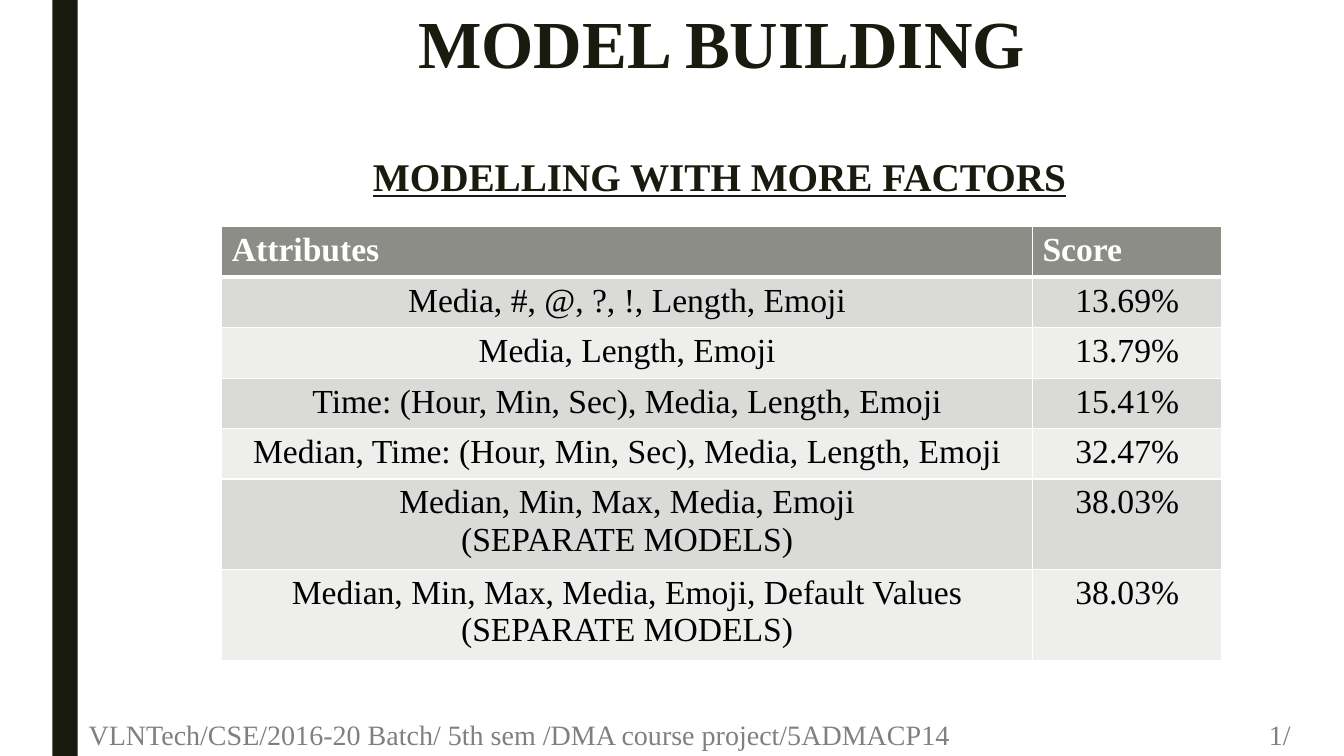
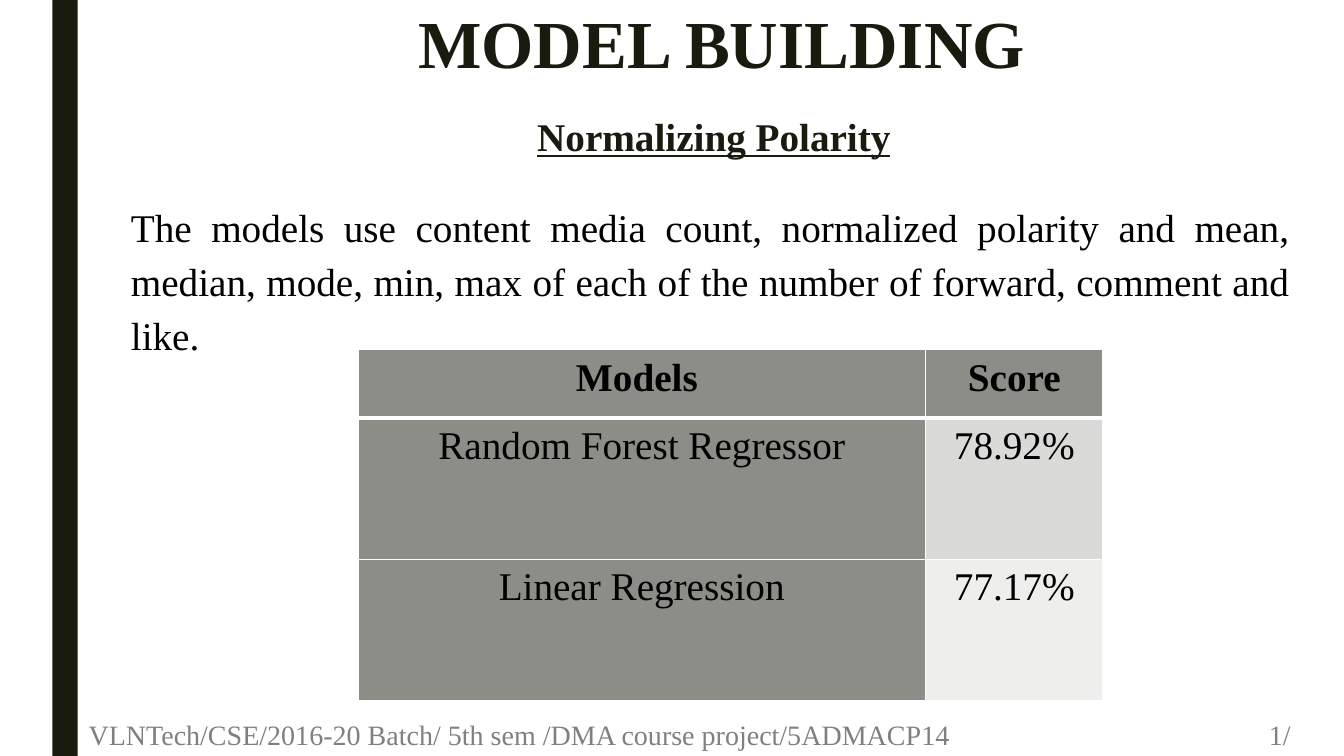
from dataclasses import dataclass

from lxml import etree
from pptx import Presentation
from pptx.dml.color import RGBColor
from pptx.enum import shapes, text
from pptx.oxml.ns import qn
from pptx.util import Inches, Pt

# Shared look
FONT = "Times New Roman"
DARK, WHITE, BLACK, GREY = "191B0E", "FFFFFF", "000000", "808080"
HEAD, BANDS = "8C8D86", ("DADBD9", "EEEEED")
LEFT, MID = text.PP_ALIGN.LEFT, text.PP_ALIGN.CENTER
RIGHT, FULL = text.PP_ALIGN.RIGHT, text.PP_ALIGN.JUSTIFY
TOP, BASE = text.MSO_ANCHOR.TOP, text.MSO_ANCHOR.BOTTOM
TIGHT, LOOSE = 0.89, 1.15


@dataclass(frozen=True)
class Box:
    left: float
    top: float
    width: float
    height: float

    def lengths(self) -> list:
        return [Inches(v) for v in (self.left, self.top, self.width, self.height)]


@dataclass(frozen=True)
class Style:
    size: float
    color: str = BLACK
    bold: bool = False
    under: bool = False
    align: int = MID
    space: float = 1.0
    after: float = 0


@dataclass(frozen=True)
class Grid:
    """A two-column score table."""
    left: float
    top: float
    cols: tuple
    heights: tuple
    rows: tuple
    head: Style
    body: Style
    inset: tuple = (0.1, 0.05)
    dark_first: bool = False


MAIN = Style(48, DARK, bold=True, space=TIGHT)
TITLE = Style(28, DARK, bold=True, under=True, space=TIGHT)
PROSE = Style(28, align=FULL, space=LOOSE, after=10)
FOOT = Style(20, GREY, align=LEFT, space=TIGHT)
PAGE = Style(20, GREY, align=RIGHT, space=TIGHT)


def rgb(code: str) -> RGBColor:
    return RGBColor.from_string(code)


def write(frame, words: str, style: Style) -> None:
    frame.text = words
    for para in frame.paragraphs:
        para.alignment = style.align
        para.line_spacing = style.space
        para.space_before, para.space_after = Pt(0), Pt(style.after)
        for run in para.runs:
            font = run.font
            font.name, font.size = FONT, Pt(style.size)
            font.bold, font.underline = style.bold, style.under
            font.color.rgb = rgb(style.color)


def label(slide, box: Box, words: str, style: Style, anchor=TOP) -> None:
    frame = slide.shapes.add_textbox(*box.lengths()).text_frame
    frame.word_wrap = True
    frame.vertical_anchor = anchor
    write(frame, words, style)


def edge(cell, side: str, width: float) -> None:
    line = etree.SubElement(cell._tc.get_or_add_tcPr(), qn(f"a:ln{side}"),
                            w=str(Pt(width)))
    fill = etree.SubElement(line, qn("a:solidFill"))
    etree.SubElement(fill, qn("a:srgbClr"), val=WHITE)


def draw_grid(slide, grid: Grid) -> None:
    box = Box(grid.left, grid.top, sum(grid.cols), sum(grid.heights))
    table = slide.shapes.add_table(len(grid.rows), len(grid.cols),
                                   *box.lengths()).table
    for col, width in zip(table.columns, grid.cols):
        col.width = Inches(width)
    for i, (row, height) in enumerate(zip(table.rows, grid.heights)):
        row.height = Inches(height)
        for j, cell in enumerate(row.cells):
            side, end = grid.inset
            cell.margin_left = cell.margin_right = Inches(side)
            cell.margin_top = cell.margin_bottom = Inches(end)
            write(cell.text_frame, grid.rows[i][j], grid.body if i else grid.head)
            # A thick rule parts the header from the body
            for name, wide in (("L", False), ("R", False),
                               ("T", i == 1), ("B", i == 0)):
                edge(cell, name, 3 if wide else 1)
            dark = i == 0 or (grid.dark_first and j == 0)
            cell.fill.solid()
            cell.fill.fore_color.rgb = rgb(HEAD if dark else BANDS[(i - 1) % 2])


def new_slide(deck, words: str, box: Box):
    slide = deck.slides.add_slide(deck.slide_layouts[5])
    # Side band
    band = slide.shapes.add_shape(shapes.MSO_SHAPE.RECTANGLE,
                                  *Box(0.52, 0, 0.25, 7.5).lengths())
    band.shadow.inherit = False
    band.fill.solid()
    band.fill.fore_color.rgb = rgb(DARK)
    band.line.fill.background()
    # Slide title
    title = slide.shapes.title
    title.left, title.top, title.width, title.height = box.lengths()
    frame = title.text_frame
    frame.auto_size = text.MSO_AUTO_SIZE.NONE
    frame.vertical_anchor = TOP
    write(frame, words, TITLE)
    # Section heading and footer
    label(slide, Box(2.46, 0.06, 9.4, 1.44), "MODEL BUILDING", MAIN)
    label(slide, Box(0.78, 7.17, 10, 0.33),
          "VLNTech/CSE/2016-20 Batch/ 5th sem /DMA course project/5ADMACP14",
          FOOT, BASE)
    label(slide, Box(11.9, 7.17, 1, 0.33), "1/", PAGE, BASE)
    return slide


FACTORS = Grid(
    2.2, 2.25, (8.04, 1.88), (0.47,) * 5 + (0.84,) * 2,
    (("Attributes", "Score"),
     ("Media, #, @, ?, !, Length, Emoji", "13.69%"),
     ("Media, Length, Emoji", "13.79%"),
     ("Time: (Hour, Min, Sec), Media, Length, Emoji", "15.41%"),
     ("Median, Time: (Hour, Min, Sec), Media, Length, Emoji", "32.47%"),
     ("Median, Min, Max, Media, Emoji\n(SEPARATE MODELS)", "38.03%"),
     ("Median, Min, Max, Media, Emoji, Default Values\n(SEPARATE MODELS)",
      "38.03%")),
    head=Style(24, WHITE, bold=True, align=LEFT), body=Style(24))

MODELS = Grid(
    3.55, 3.47, (5.63, 1.76), (0.68, 1.4, 1.4),
    (("Models ", "Score"),
     ("Random Forest Regressor", "78.92%"),
     ("Linear Regression", "77.17%")),
    head=Style(28, bold=True, space=LOOSE, after=10),
    body=Style(28, space=LOOSE, after=10),
    inset=(0.07, 0), dark_first=True)


def main() -> None:
    deck = Presentation()
    deck.slide_width, deck.slide_height = Inches(13.33), Inches(7.5)

    # Scores by attribute set
    slide = new_slide(deck, "MODELLING WITH MORE FACTORS",
                      Box(0.88, 1.52, 12.51, 1.44))
    draw_grid(slide, FACTORS)

    # Scores by model
    slide = new_slide(deck, "Normalizing Polarity", Box(0.82, 1.12, 12.52, 1.62))
    draw_grid(slide, MODELS)
    label(slide, Box(1.2, 1.9, 11.69, 1.69),
          "The models use content media count, normalized polarity and mean, "
          "median, mode, min, max of each of the number of forward, comment "
          "and like.", PROSE)

    deck.save("out.pptx")


if __name__ == "__main__":
    main()
